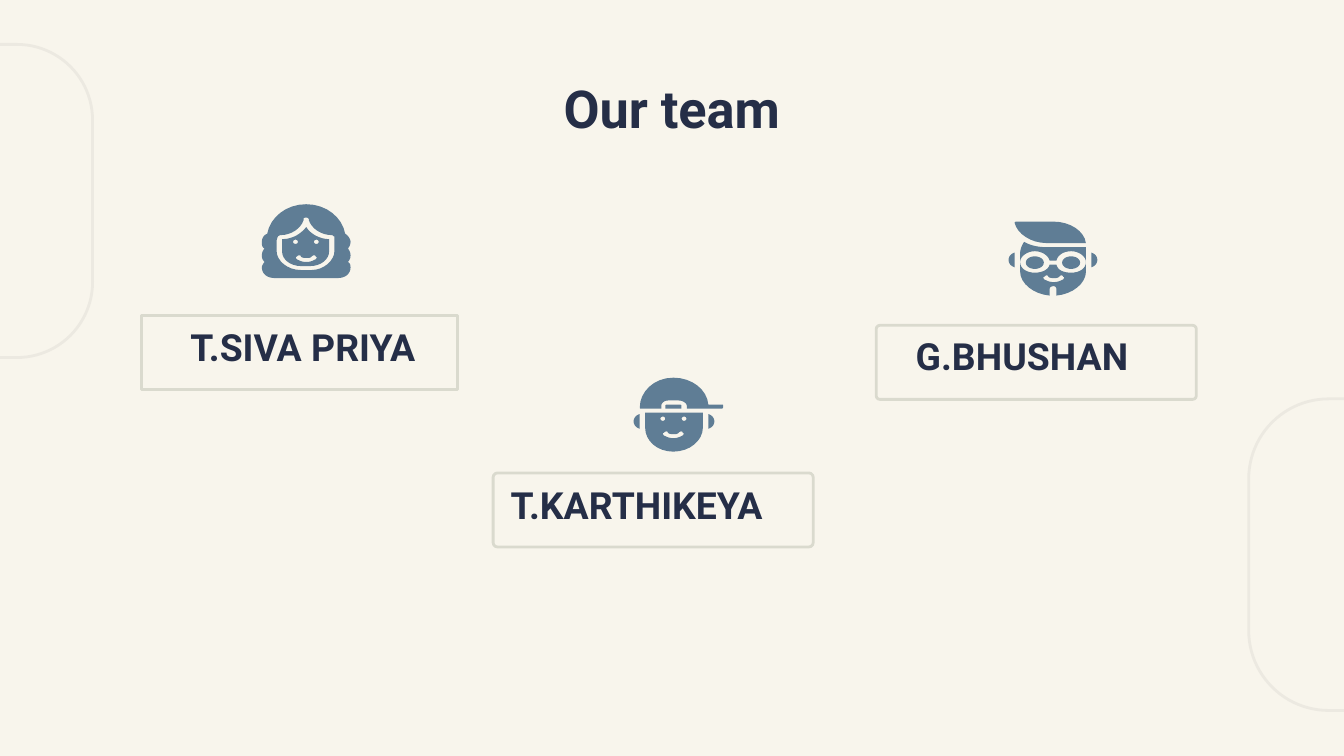
from dataclasses import dataclass
from math import cos, pi, sin

from lxml import etree
from pptx import Presentation
from pptx.dml.color import RGBColor
from pptx.enum.shapes import MSO_SHAPE
from pptx.enum.text import MSO_ANCHOR, MSO_AUTO_SIZE, PP_ALIGN
from pptx.oxml.ns import qn
from pptx.util import Cm, Pt

ROUNDED = MSO_SHAPE.ROUNDED_RECTANGLE
TOP, MIDDLE = MSO_ANCHOR.TOP, MSO_ANCHOR.MIDDLE
LEFT, CENTER = PP_ALIGN.LEFT, PP_ALIGN.CENTER
NO_AUTOFIT = MSO_AUTO_SIZE.NONE
COMPARISON_LAYOUT = 4
ICON_UNIT = 0.0254
CURVE_STEPS = 8


@dataclass(frozen=True)
class Theme:
    background: RGBColor = RGBColor(0xF8, 0xF5, 0xEC)
    ink: RGBColor = RGBColor(0x25, 0x2E, 0x47)
    icon: RGBColor = RGBColor(0x5F, 0x7D, 0x95)
    frame: RGBColor = RGBColor(0xDA, 0xDA, 0xCE)
    decor: RGBColor = RGBColor(0xEC, 0xE9, 0xE1)
    font: str = "Roboto"
    title_size: Pt = Pt(28)
    name_size: Pt = Pt(20)
    line_width: Pt = Pt(1.5)


THEME = Theme()


def bezier(a, b, c, d):
    for i in range(1, CURVE_STEPS + 1):
        t = i / CURVE_STEPS
        u = 1 - t
        yield tuple(u**3 * p + 3 * u * u * t * q + 3 * u * t * t * v + t**3 * w
                    for p, q, v, w in zip(a, b, c, d))


def outline(d, dx=0, dy=0, flip=1):
    points = []
    for segment in d.replace("C", "|C").replace("L", "|L").split("|"):
        nums = [float(n) for n in segment[1:].split()]
        pairs = [(dx + flip * x, dy + y) for x, y in zip(nums[::2], nums[1::2])]
        if segment[0] == "C":
            for i in range(0, len(pairs), 3):
                points.extend(bezier(points[-1], *pairs[i:i + 3]))
        else:
            points.extend(pairs)
    return points


def ellipse(cx, cy, rx, ry):
    angles = [2 * pi * i / 24 for i in range(24)]
    return [(cx + rx * cos(a), cy + ry * sin(a)) for a in angles]


def eye(cx, cy):
    return ellipse(cx, cy, 1.8, 1.6)


def lens(cx):
    return ellipse(cx, 30.5, 6.7, 4.7)


def smile(cx, top):
    return outline("M 6 0 C 6 0 7 0 7 1 8 1 8 2 7 3 5 4 3 5 0 5 -3 5 -5 4 -7 3"
                   " -8 2 -8 1 -7 1 -6 0 -6 0 -5 0 -5 0 -4 0 -4 1"
                   " -3 2 -1 2 0 2 2 2 3 2 4 1 5 0 5 0 6 0", cx, top)


def ear(x, top, flip):
    return outline("M 0 0 C 3 1 4.5 3 4.5 5.5 4.5 8 3 10 0 11", x, top, flip)


WOMAN = [
    [outline("M 33 17 C 29 22 23 26 15 26 15 27 15 28 15 28 L 15 35"
             " C 15 41 21 46 29 46 L 36 46 C 44 46 50 41 50 35 L 50 28"
             " C 50 28 50 27 50 26 43 26 36 22 33 17"),
     eye(25, 28), eye(40.5, 28), smile(33, 38)],
    [outline("M 33 0 C 18 0 6 10 4 22 1 23 0 26 0 28 0 30 0 32 2 33"
             " 1 34 0 36 0 38 0 39 0 41 2 43 1 44 0 46 0 47 0 52 4 55 10 55 L 56 55"
             " C 62 55 66 52 66 47 66 46 66 44 64 43 66 41 66 39 66 38"
             " 66 36 65 34 64 33 65 32 66 30 66 28 66 26 64 23 62 22 60 10 48 0 33 0"),
     outline("M 33 10 C 34 10 34 10 35 11 L 35 12 C 37 18 44 23 52 23"
             " 53 23 53 24 54 24 54 26 54 27 54 28 L 54 35 C 54 42 46 49 37 49 L 29 49"
             " C 19 49 11 42 11 35 L 11 28 C 11 27 11 26 12 24 12 24 13 23 14 23"
             " 22 23 29 18 31 12 L 31 11 C 31 10 32 10 33 10")],
]
BOY = [
    [outline("M 8 26 L 8 37 C 8 47 17 55 29 55 41 55 51 47 51 37 L 51 26"),
     eye(21.2, 30.5), eye(37, 30.5), smile(29, 40)],
    [outline("M 29 0 C 14 0 4 11 4 22 4 23 4 23 5 23 L 20 23 20 21"
             " C 20 19 22 17 25 17 L 33 17 C 36 17 39 19 39 21 L 39 23 65 23"
             " C 66 23 66 22 66 21 66 20 66 20 65 20 L 55 20 C 54 9 43 0 29 0")],
    [outline("M 25 20 C 24 20 23 20 23 21 L 23 23 35 23 35 21 C 35 20 34 20 33 20")],
    [ear(4, 27, -1)],
    [ear(55, 27, 1)],
]
MAN = [
    [outline("M 7 0 C 6 0 5 0 5 1 7 9 17 16 29 16 L 58 16 C 57 7 46 0 34 0")],
    [outline("M 12 15 C 10 18 9 21 9 24 L 9 30 C 9 26 14 22 20 22 25 22 30 25 31 29"
             " L 36 29 C 37 25 41 22 47 22 53 22 58 26 58 30 L 58 19 29 19"
             " C 23 19 17 18 12 15")],
    [outline("M 9 30 L 9 37 C 9 46 19 54 31 55 L 31 50 C 31 49 32 48 34 48"
             " 35 48 36 49 36 50 L 36 55 C 48 54 58 46 58 37 L 58 30"
             " C 58 35 53 38 47 38 41 38 37 36 36 32 L 31 32"
             " C 30 36 25 38 20 38 14 38 9 35 9 30"),
     smile(34, 40)],
    [lens(20)],
    [lens(47)],
    [ear(5, 23, -1)],
    [ear(62, 23, 1)],
]


def add_icon(s, parts, left, top):
    group = s.shapes.add_group_shape()
    for contours in parts:
        scaled = [[(Cm(x * ICON_UNIT), Cm(y * ICON_UNIT)) for x, y in points]
                  for points in contours]
        first, *holes = scaled
        builder = group.shapes.build_freeform(*first[0])
        builder.add_line_segments(first[1:])
        for hole in holes:
            builder.move_to(*hole[0])
            builder.add_line_segments(hole[1:])
        sp = builder.convert_to_shape(Cm(left), Cm(top))
        sp.shadow.inherit = False
        sp.fill.solid()
        sp.fill.fore_color.rgb = THEME.icon
        sp.line.fill.background()


def add_frame(s, box, radius, color):
    sp = s.shapes.add_shape(ROUNDED, *map(Cm, box))
    sp.adjustments[0] = radius
    sp.shadow.inherit = False
    sp.fill.background()
    sp.line.color.rgb = color
    sp.line.width = THEME.line_width


def fill_placeholder(sp, text, box, size, align, anchor):
    sp.left, sp.top, sp.width, sp.height = map(Cm, box)
    tf = sp.text_frame
    tf.text = text
    tf.word_wrap = True
    tf.auto_size = NO_AUTOFIT
    tf.vertical_anchor = anchor
    tf.margin_left = tf.margin_right = tf.margin_top = tf.margin_bottom = Cm(0.25)
    p = tf.paragraphs[0]
    p.alignment = align
    p.space_before = Pt(0)
    pPr = p._p.get_or_add_pPr()
    pPr.set("marL", "0")
    pPr.set("indent", "0")
    etree.SubElement(pPr, qn("a:buNone"))
    font = p.runs[0].font
    font.name, font.size, font.bold = THEME.font, size, True
    font.color.rgb = THEME.ink


def add_member(s, idx, name, name_at, align, frame, radius, icon, icon_at):
    add_frame(s, frame, radius, THEME.frame)
    add_icon(s, icon, *icon_at)
    fill_placeholder(s.placeholders[idx], name, (*name_at, 5.97, 1.6),
                     THEME.name_size, align, TOP)


def main():
    prs = Presentation()
    prs.slide_width, prs.slide_height = Cm(25.4), Cm(14.29)
    s = prs.slides.add_slide(prs.slide_layouts[COMPARISON_LAYOUT])
    s.background.fill.solid()
    s.background.fill.fore_color.rgb = THEME.background

    for box in ((-2.72, 0.84, 4.47, 5.92), (23.6, 7.54, 4.72, 5.89)):
        add_frame(s, box, 0.32, THEME.decor)

    fill_placeholder(s.shapes.title, "Our team", (0.86, 1.24, 23.67, 1.6),
                     THEME.title_size, CENTER, MIDDLE)
    add_member(s, 1, "T.SIVA PRIYA", (2.74, 5.87), CENTER,
               (2.67, 5.97, 5.97, 1.4), 0, WOMAN, (4.95, 3.86))
    add_member(s, 2, "T.KARTHIKEYA", (9.4, 8.86), LEFT,
               (9.32, 8.94, 6.05, 1.4), 0.06, BOY, (11.99, 7.14))
    add_member(s, 3, "G.BHUSHAN", (16.33, 6.05), CENTER,
               (16.56, 6.15, 6.05, 1.4), 0.05, MAN, (19.05, 4.19))

    spare = s.placeholders[4].element
    spare.getparent().remove(spare)
    prs.save("out.pptx")


if __name__ == "__main__":
    main()
